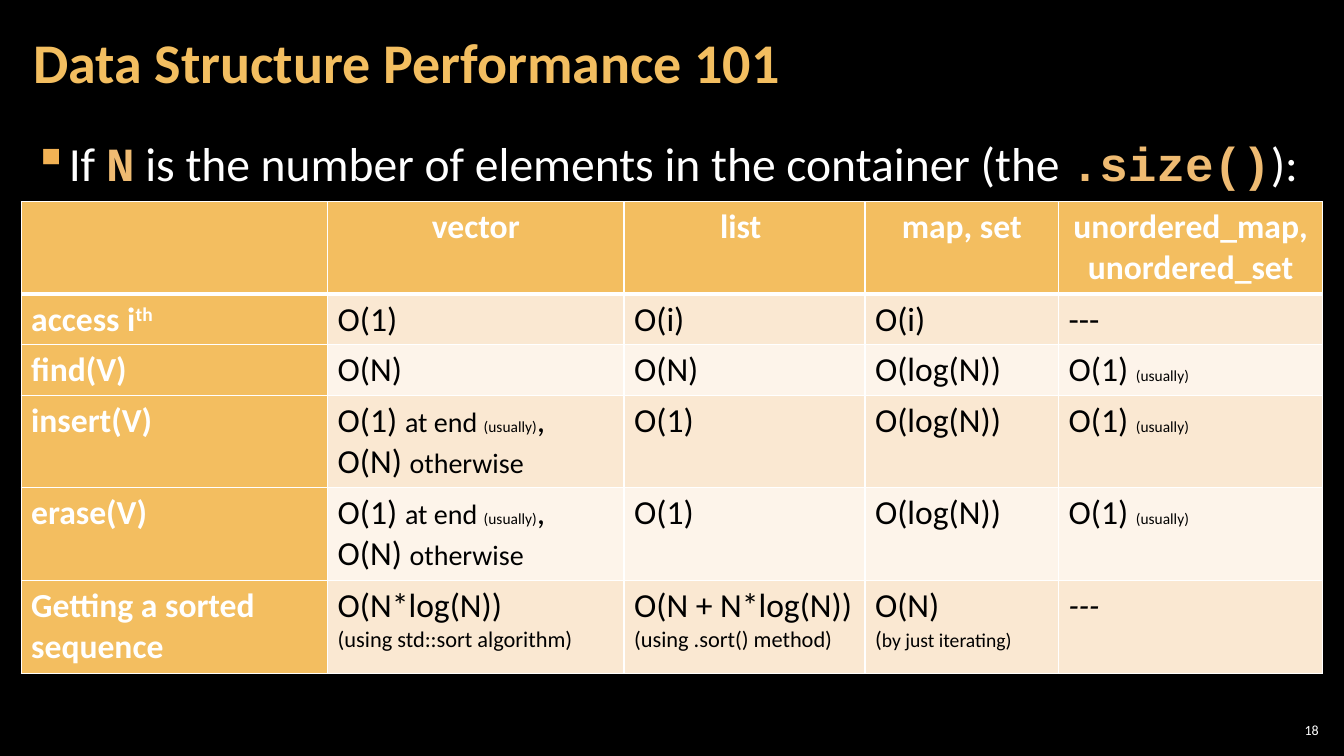
from pptx import Presentation
from pptx.dml.color import RGBColor
from pptx.enum.text import MSO_ANCHOR, PP_ALIGN
from pptx.oxml import parse_xml
from pptx.oxml.ns import nsdecls
from pptx.util import Inches, Pt

theme = {
    "back": "000000", "white": "FFFFFF", "gold": "F3BE60",
    "mark": "F2B254", "bands": ("FAE8D2", "FDF4EA"),
    "styles": {
        "title": (40, "Calibri", "F3BE60", True),
        "body": (34, "Calibri", "FFFFFF", False),
        "code": (34, "Courier New", "EFBB72", True),
        "page": (10, "Calibri", "FFFFFF", False),
        "head": (24, "Calibri", "FFFFFF", True),
        "super": (24, "Calibri", "FFFFFF", True),
        "cost": (24, "Calibri", "000000", False),
        "slant": (24, "Calibri", "000000", False),
        "when": (20, "Calibri", "000000", False),
        "note": (16, "Calibri", "000000", False),
        "small": (14, "Calibri", "000000", False),
        "tiny": (11, "Calibri", "000000", False),
    },
}

deck = Presentation()
deck.slide_width, deck.slide_height = Inches(13.33), Inches(7.5)
slide = deck.slides.add_slide(deck.slide_layouts[6])
slide.background.fill.solid()
slide.background.fill.fore_color.rgb = RGBColor.from_string(theme["back"])
left, width = 0.21, 12.91


def write(para, pieces):
    for text, style in pieces:
        run = para.add_run()
        run.text = text.rstrip("\n")
        size, face, color, bold = theme["styles"][style]
        run.font.size, run.font.name, run.font.bold = Pt(size), face, bold
        run.font.color.rgb = RGBColor.from_string(color)
        if style == "slant":
            run.font.italic = True
        if style == "super":
            run.font._element.set("baseline", "30000")
        if text.endswith("\n"):
            para.add_line_break()


def label(area, pieces, anchor, inset):
    frame = slide.shapes.add_textbox(*map(Inches, area)).text_frame
    frame.word_wrap = True
    frame.vertical_anchor = anchor
    frame.margin_left = frame.margin_right = Inches(inset)
    frame.margin_top = frame.margin_bottom = Inches(0.04)
    para = frame.paragraphs[0]
    write(para, pieces)
    return para


page = label((12.65, 7.14, 0.47, 0.21), [("18", "page")], MSO_ANCHOR.MIDDLE, 0.04)
page.alignment = PP_ALIGN.RIGHT

intro = label((left, 1.26, width, 6.09), [
    ("If ", "body"), ("N", "code"),
    (" is the number of elements in the container (the ", "body"),
    (".size()", "code"), ("):", "body"),
], MSO_ANCHOR.TOP, 0.12)
intro.line_spacing = 1.05
intro.space_before = intro.space_after = Pt(6)
props = intro._p.get_or_add_pPr()
props.set("marL", str(Inches(0.33)))
props.set("indent", str(-Inches(0.33)))
props.append(parse_xml(
    f'<a:buClr {nsdecls("a")}><a:srgbClr val="{theme["mark"]}"/></a:buClr>'))
props.append(parse_xml(f'<a:buChar {nsdecls("a")} char="▪"/>'))

title = label((left, 0.04, 10.47, 1.21),
              [("Data Structure Performance 101", "title")], MSO_ANCHOR.MIDDLE, 0.12)
title.line_spacing = 0.9

once = [[("O(1)", "cost")]]
tree = [[("O(log(N))", "cost")]]
hash = [[("O(1) ", "cost"), ("(usually)", "tiny")]]
none = [[("---", "cost")]]
ith = [[("O(i)", "cost")]]
scan = [[("O(N)", "cost")]]
tail = [
    [("O(1) ", "cost"), ("at end ", "when"), ("(usually)", "tiny"), (",", "cost")],
    [("O(N) ", "cost"), ("otherwise", "when")],
]
heads = ["", "vector", "list ", "map, set", "unordered_map, unordered_set"]
rows = [
    [[[(name, "head")]] if name else [] for name in heads],
    [[[("access i", "head"), ("th", "super")]], once, ith, ith, none],
    [[[("find(V)", "head")]], scan, scan, tree, hash],
    [[[("insert(V)", "head")]], tail, once, tree, hash],
    [[[("erase(V)", "head")]], tail, once, tree, hash],
    [[[("Getting a sorted sequence", "head")]],
     [[("O(N*log(N))\n", "cost"), ("(using std::sort algorithm)", "note")]],
     [[("O(N + N*log(N))\n", "cost"), ("(using .sort() method)", "note")]],
     [[("O(N) \n", "cost"), ("(", "note"), ("by just iterating)", "small")]],
     [[("---", "slant")]]],
]
wides = [3.04, 2.94, 2.39, 1.92, 2.62]
talls = [0.92, 0.5, 0.5, 0.92, 0.92, 0.92]
grid = slide.shapes.add_table(
    len(rows), len(wides), *map(Inches, (left, 2, width, sum(talls)))).table
for col, wide in zip(grid.columns, wides):
    col.width = Inches(wide)
for row, tall in zip(grid.rows, talls):
    row.height = Inches(tall)

for r, row in enumerate(rows):
    for c, paras in enumerate(row):
        cell = grid.cell(r, c)
        for side in "LRTB":
            thick = (r, side) in ((0, "B"), (1, "T"))
            cell._tc.get_or_add_tcPr().append(parse_xml(
                f'<a:ln{side} {nsdecls("a")} w="{Pt(3 if thick else 1)}"><a:solidFill>'
                f'<a:srgbClr val="{theme["white"]}"/></a:solidFill></a:ln{side}>'))
        cell.fill.solid()
        cell.fill.fore_color.rgb = RGBColor.from_string(
            theme["gold"] if r == 0 or c == 0 else theme["bands"][(r - 1) % 2])
        frame = cell.text_frame
        for n, pieces in enumerate(paras):
            para = frame.add_paragraph() if n else frame.paragraphs[0]
            write(para, pieces)
            if r == 0:
                para.alignment = PP_ALIGN.CENTER

deck.save("out.pptx")
